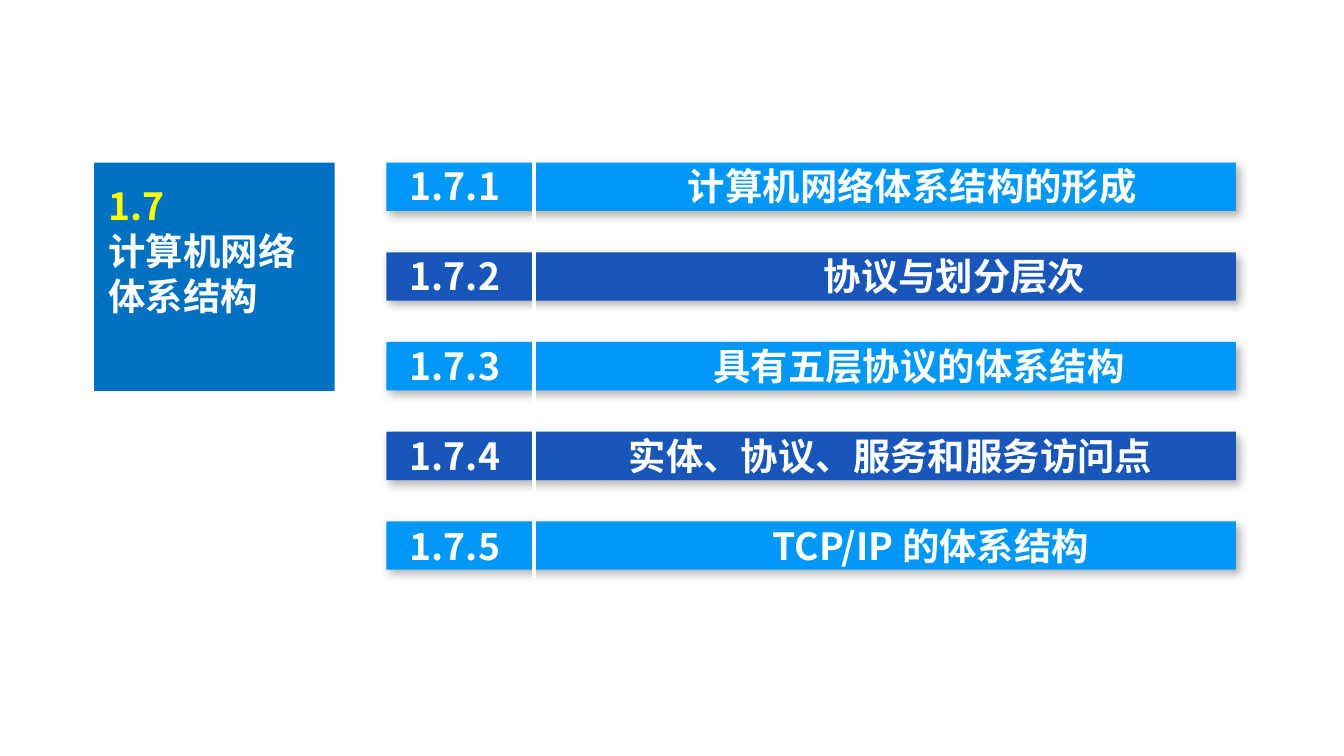
from lxml.etree import SubElement
from pptx import Presentation
from pptx.dml.color import RGBColor
from pptx.enum.shapes import MSO_CONNECTOR, MSO_SHAPE
from pptx.oxml.ns import qn
from pptx.util import Inches, Pt

# Lengths are counted in columns and rows of a square grid on a 16:9 page.
CELL = Inches(0.1)
COLUMNS = 100
ROWS = COLUMNS * 9 / 16
FONT = "Noto Sans CJK SC"
WHITE, YELLOW = "FFFFFF", "FFFF00"
BLUE, LIGHT, DARK = "0070C0", "0098F6", "1956B9"
LINE_HEIGHT = 24.1

# Number, title, and column where the title starts within the text
SECTIONS = [
    ("1.7.1", "计算机网络体系结构的形成", 20.7),
    ("1.7.2", "协议与划分层次", 30.8),
    ("1.7.3", "具有五层协议的体系结构", 22.6),
    ("1.7.4", "实体、协议、服务和服务访问点", 16.3),
    ("1.7.5", "TCP/IP 的体系结构", 27),
]


def grid(*cells):
    return [round(cell * CELL) for cell in cells]


def color(value):
    return RGBColor.from_string(value)


def add_rectangle(page, box, fill):
    shape = page.shapes.add_shape(MSO_SHAPE.RECTANGLE, *grid(*box))
    shape.shadow.inherit = False
    shape.fill.solid()
    shape.fill.fore_color.rgb = color(fill)
    shape.line.fill.background()
    return shape


def add_shadow(shape):
    effects = shape._element.spPr.find(qn("a:effectLst"))
    shadow = SubElement(effects, qn("a:outerShdw"), blurRad=str(Pt(4.5)),
                        dist=str(Pt(2.6)), dir=str(53 * 60000),
                        algn="tl", rotWithShape="0")
    tone = SubElement(shadow, qn("a:srgbClr"), val="000000")
    SubElement(tone, qn("a:alpha"), val="30000")


def add_text_frame(page, box):
    frame = page.shapes.add_textbox(*grid(*box)).text_frame
    frame.word_wrap = True
    return frame


def add_paragraph(frame, index):
    para = frame.paragraphs[0] if index == 0 else frame.add_paragraph()
    para.line_spacing = Pt(LINE_HEIGHT)
    return para


def add_span(para, text, ink):
    span = para.add_run()
    span.text = text
    span.font.size = Pt(20)
    span.font.bold = True
    span.font.name = FONT
    span.font.color.rgb = color(ink)
    SubElement(span.font._element, qn("a:ea"), typeface=FONT)


def add_tab_stop(para, column):
    tabs = SubElement(para._p.get_or_add_pPr(), qn("a:tabLst"))
    SubElement(tabs, qn("a:tab"), pos=str(round(column * CELL)), algn="l")


def add_chapter(page, box):
    left, top, width, height = box
    add_rectangle(page, box, BLUE)
    frame = add_text_frame(page, (left + 0.1, top + 1, width - 0.1, 11.1))
    lines = [("1.7", YELLOW), ("计算机网络体系结构", WHITE)]
    for index, (text, ink) in enumerate(lines):
        add_span(add_paragraph(frame, index), text, ink)


def add_section_list(page, box):
    left, top, width, height = box
    bar_height = 3.6
    step = (height - bar_height) / (len(SECTIONS) - 1)
    for index in range(len(SECTIONS)):
        bar = add_rectangle(page, (left, top + index * step, width, bar_height),
                            DARK if index % 2 else LIGHT)
        add_shadow(bar)

    divider = page.shapes.add_connector(
        MSO_CONNECTOR.STRAIGHT,
        *grid(left + 11, top - 0.8, left + 11, top + height + 0.6))
    divider.line.color.rgb = color(WHITE)
    divider.line.width = Pt(2.25)
    SubElement(divider._element.spPr, qn("a:effectLst"))

    frame = add_text_frame(page, (left + 0.75, top - 0.45, 59.8, height + 1))
    for index, (number, title, column) in enumerate(SECTIONS):
        para = add_paragraph(frame, index)
        if index:
            para.space_before = Pt(LINE_HEIGHT)
        add_tab_stop(para, column)
        add_span(para, number + "\t", WHITE)
        add_span(para, title, WHITE)


def main():
    deck = Presentation()
    deck.slide_width, deck.slide_height = grid(COLUMNS, ROWS)
    page = deck.slides.add_slide(deck.slide_layouts[6])
    add_section_list(page, (28.75, 12.1, 63.2, 30.3))
    add_chapter(page, (7, 12.1, 17.9, 17))
    deck.save("out.pptx")


if __name__ == "__main__":
    main()
